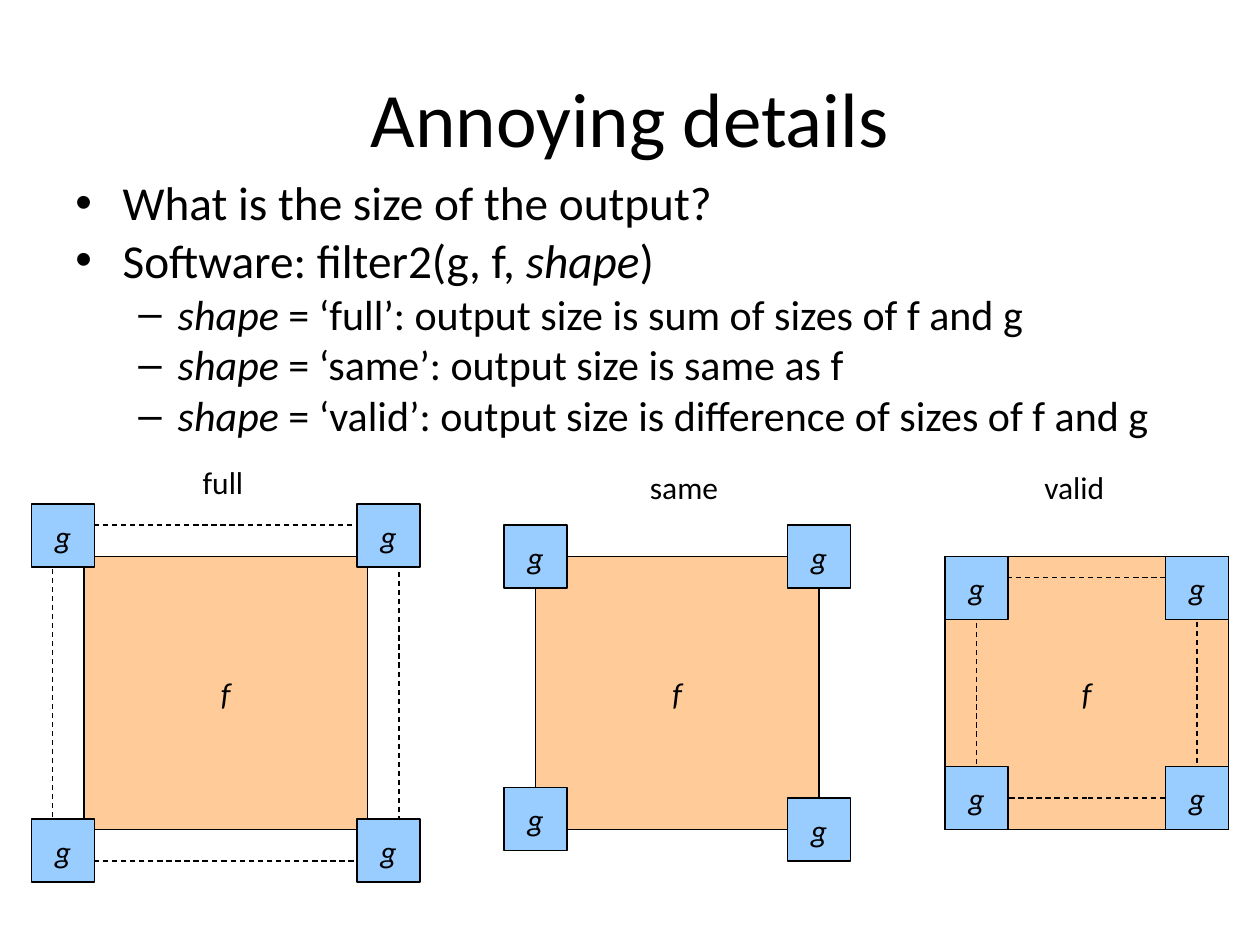
from lxml.etree import SubElement
from pptx import Presentation
from pptx.dml.color import RGBColor
from pptx.enum.dml import MSO_LINE
from pptx.enum.shapes import MSO_SHAPE
from pptx.enum.text import MSO_ANCHOR, MSO_AUTO_SIZE, PP_ALIGN
from pptx.oxml.ns import qn
from pptx.util import Pt

BLACK = RGBColor(0, 0, 0)
WHITE = RGBColor(0xFF, 0xFF, 0xFF)
ORANGE = RGBColor(0xFF, 0xCC, 0x99)
BLUE = RGBColor(0x99, 0xCC, 0xFF)

prs = Presentation()
prs.slide_width, prs.slide_height = Pt(720), Pt(540)
slide = prs.slides.add_slide(prs.slide_layouts[5])
shapes = slide.shapes


def style(para, size, italic=None):
    font = para.font
    font.name, font.size, font.italic = "Calibri", Pt(size), italic
    font.color.rgb = BLACK


def add_box(left, top, width, height, fill=None, text=None):
    """Add a filled box with a letter, or a dashed box without one."""
    box = shapes.add_shape(MSO_SHAPE.RECTANGLE, Pt(left), Pt(top), Pt(width), Pt(height))
    box.shadow.inherit = False
    if fill is None:
        box.fill.background()
    else:
        box.fill.solid()
        box.fill.fore_color.rgb = fill
    box.line.color.rgb = BLACK
    box.line.width = Pt(0.75)
    if text is None:
        box.line.dash_style = MSO_LINE.DASH
        return
    frame = box.text_frame
    frame.word_wrap = False
    frame.vertical_anchor = MSO_ANCHOR.MIDDLE
    para = frame.paragraphs[0]
    para.text = text
    para.alignment = PP_ALIGN.CENTER
    style(para, 18, True)


# Title
title = shapes.title
title.left, title.top, title.width, title.height = Pt(36), Pt(21.6), Pt(648), Pt(90)
title.text_frame.vertical_anchor = MSO_ANCHOR.MIDDLE
para = title.text_frame.paragraphs[0]
para.text = "Annoying details"
para.alignment = PP_ALIGN.CENTER
style(para, 44)

# Bullets: level, then runs that alternate between upright and italic
points = [
    (0, ["What is the size of the output?"]),
    (0, ["Software: filter2(g, f, ", "shape", ")"]),
    (1, ["", "shape", " = ‘full’: output size is sum of sizes of f and g"]),
    (1, ["", "shape", " = ‘same’: output size is same as f"]),
    (1, ["", "shape", " = ‘valid’: output size is difference of sizes of f and g"]),
]
# Mark, left margin, hanging indent, size, space before
levels = [("•", 27, 27, 27, 6.8), ("–", 58.5, 22.5, 24, 6)]

body = shapes.add_textbox(Pt(36), Pt(102), Pt(648), Pt(162)).text_frame
body.word_wrap = True
for i, (level, parts) in enumerate(points):
    mark, margin, hang, size, space = levels[level]
    para = body.add_paragraph() if i else body.paragraphs[0]
    para.level = level
    props = para._p.get_or_add_pPr()
    props.set("marL", str(Pt(margin)))
    props.set("indent", str(-Pt(hang)))
    SubElement(props, qn("a:buFont"), typeface="Arial")
    SubElement(props, qn("a:buChar"), char=mark)
    para.line_spacing = 0.8
    if i:
        para.space_before = Pt(space)
    style(para, size)
    for j, part in enumerate(parts):
        if part:
            run = para.add_run()
            run.text = part
            if j % 2:
                run.font.italic = True

# Diagrams: left of f, dashed frame, corners of g
top, wide, high, side = 318, 162, 156, 36
plots = [
    (48, (30, 300, 198, 192, WHITE), [(204, 288), (18, 288), (204, 468), (18, 468)]),
    (306, None, [(450, 300), (288, 300), (450, 456), (288, 450)]),
    (540, (558, 330, 126, 126), [(666, 318), (540, 318), (666, 438), (540, 438)]),
]
for left, dash, corners in plots:
    # A filled frame lies behind f, an open one in front
    if dash and dash[0] < left:
        add_box(*dash)
    add_box(left, top, wide, high, ORANGE, "f")
    if dash and dash[0] > left:
        add_box(*dash)
    for x, y in corners:
        add_box(x, y, side, side, BLUE, "g")

# Labels
for text, x, y, width in [("full", 108.7, 261, 37.4), ("same", 364.3, 264, 53.3),
                          ("valid", 589.7, 264, 49)]:
    frame = shapes.add_textbox(Pt(x), Pt(y), Pt(width), Pt(28.8)).text_frame
    frame.word_wrap = False
    frame.auto_size = MSO_AUTO_SIZE.SHAPE_TO_FIT_TEXT
    para = frame.paragraphs[0]
    para.text = text
    style(para, 18)

prs.save("out.pptx")
